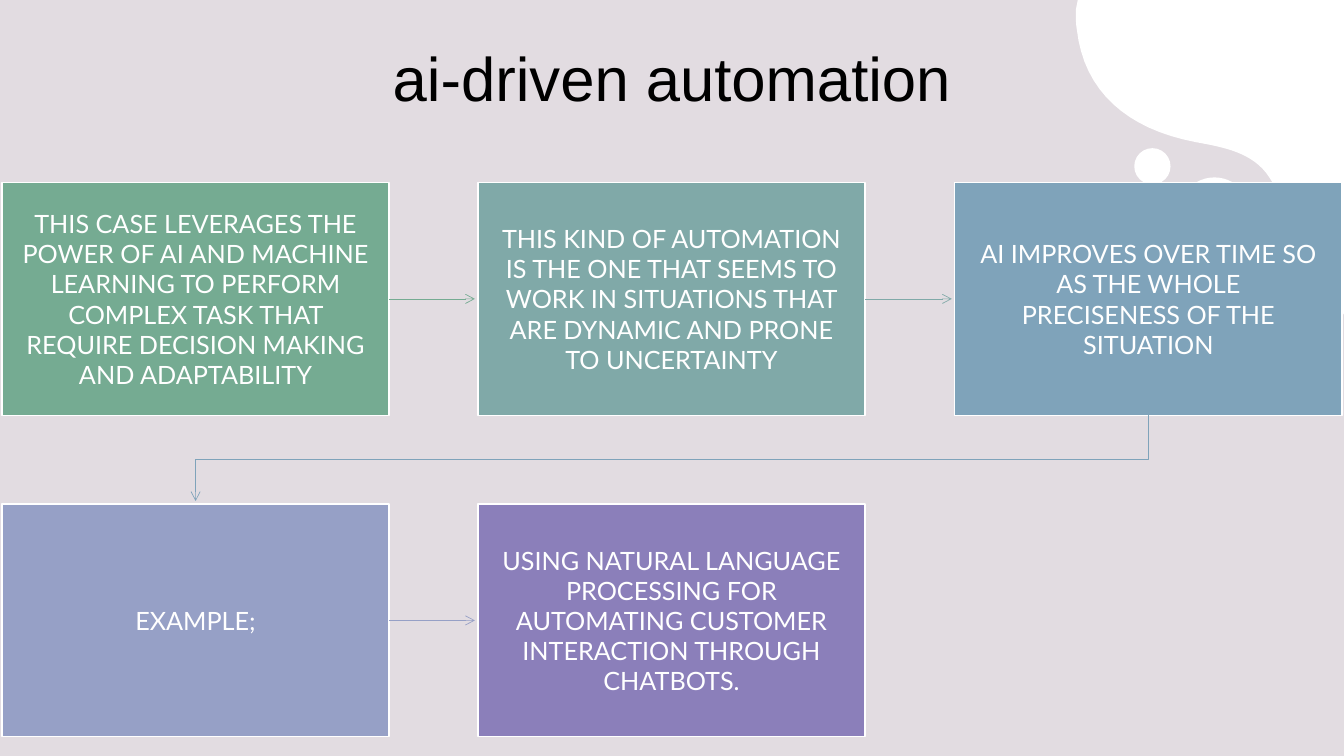
from lxml.etree import SubElement
from pptx import Presentation
from pptx.dml.color import RGBColor
from pptx.enum.shapes import MSO_CONNECTOR, MSO_SHAPE
from pptx.enum.text import MSO_ANCHOR, PP_ALIGN
from pptx.oxml.ns import qn
from pptx.util import Pt

PX = 9144  # EMU per px, 100 px to the inch
WIDTH, HEIGHT = 1333, 750
BOX_WIDTH, BOX_HEIGHT = 384, 231
ARROW_GAP = 3
rgb = RGBColor.from_string


def paint(shape, fill=None, line=None, width=1):
    """Set fill and outline, either of which may be absent, and drop the shadow."""
    shape.shadow.inherit = False
    for target, color in ((shape.fill, fill), (shape.line.fill, line)):
        if color:
            target.solid()
            target.fore_color.rgb = rgb(color)
        else:
            target.background()
    if line:
        shape.line.width = Pt(width)


def write(shape, text, anchor, font_format):
    frame = shape.text_frame
    frame.word_wrap = True
    frame.vertical_anchor = anchor
    paragraph = frame.paragraphs[0]
    paragraph.alignment = PP_ALIGN.CENTER
    run = paragraph.add_run()
    run.text = text
    for name, value in font_format.items():
        setattr(run.font, name, value)
    run.font.color.rgb = rgb("FFFFFF" if anchor == MSO_ANCHOR.MIDDLE else "000000")


presentation = Presentation()
presentation.slide_width, presentation.slide_height = WIDTH * PX, HEIGHT * PX
slide = presentation.slides.add_slide(presentation.slide_layouts[6])
shapes = slide.shapes

# Background with a faint grey veil
slide.background.fill.solid()
slide.background.fill.fore_color.rgb = rgb("E8E2E7")
veil = shapes.add_shape(MSO_SHAPE.RECTANGLE, 0, 0, WIDTH * PX, HEIGHT * PX)
paint(veil, "AEAEAE")
veil_color = veil._element.spPr.find(qn("a:solidFill"))[0]
SubElement(veil_color, qn("a:alpha"), val="10000")

# White blob in the corner: Bézier segments, each starting where the last one ended
blob_curves = [
    [(1067, 16), (1067, 23), (1068, 29)],
    [(1075, 91), (1118, 128), (1186, 141)],
    [(1213, 146), (1243, 151), (1259, 176)],
    [(1276, 203), (1290, 232), (1302, 262)],
    [(1308, 276), (1314, 289), (1323, 300)],
]
STEPS = 16
blob_points = [(1069, 0), (1067, 10)]
for curve in blob_curves:
    controls = [blob_points[-1], *curve]
    for step in range(1, STEPS + 1):
        t = step / STEPS
        weights = ((1 - t) ** 3, 3 * t * (1 - t) ** 2, 3 * t * t * (1 - t), t ** 3)
        blob_points.append(tuple(
            sum(weight * point[axis] for weight, point in zip(weights, controls))
            for axis in (0, 1)))
blob_points.append((1333, 312))
builder = shapes.build_freeform(WIDTH * PX, 0)
builder.add_line_segments([(round(x * PX), round(y * PX)) for x, y in blob_points])
paint(builder.convert_to_shape(), "FFFFFF")

for left, top, size in ((1169, 176, 71), (1125, 147, 36)):
    paint(shapes.add_shape(MSO_SHAPE.OVAL, left * PX, top * PX, size * PX, size * PX), "FFFFFF")

title = shapes.add_textbox(0, -36 * PX, WIDTH * PX, 154 * PX)
write(title, "ai-driven automation", MSO_ANCHOR.BOTTOM, {"name": "Arial", "size": Pt(44)})

# Steps run left to right, three to a row
steps = [
    ("75AB92", "THIS CASE LEVERAGES THE POWER OF AI AND MACHINE LEARNING TO PERFORM "
               "COMPLEX TASK THAT REQUIRE DECISION MAKING AND ADAPTABILITY"),
    ("80A9A8", "THIS KIND OF AUTOMATION IS THE ONE THAT SEEMS TO WORK IN SITUATIONS "
               "THAT ARE DYNAMIC AND PRONE TO UNCERTAINTY"),
    ("7FA3BA", "AI IMPROVES OVER TIME SO AS THE WHOLE PRECISENESS OF THE SITUATION"),
    ("96A0C6", "EXAMPLE;"),
    ("8B7FBA", "USING NATURAL LANGUAGE PROCESSING FOR AUTOMATING CUSTOMER "
               "INTERACTION THROUGH CHATBOTS."),
]
margins = {"margin_left": 19, "margin_right": 19, "margin_top": 20, "margin_bottom": 20}
boxes = []
for index, (color, text) in enumerate(steps):
    row, column = divmod(index, 3)
    box = shapes.add_shape(MSO_SHAPE.RECTANGLE, (2 + 945 * column // 2) * PX,
                           (181 + 319 * row) * PX, BOX_WIDTH * PX, BOX_HEIGHT * PX)
    paint(box, color, "FFFFFF")
    for name, value in margins.items():
        setattr(box.text_frame, name, value * PX)
    write(box, text, MSO_ANCHOR.MIDDLE, {"name": "Lato", "size": Pt(18)})
    boxes.append(box)

# Arrows take the colour of the step they leave
for (color, _), box, following in zip(steps, boxes, boxes[1:]):
    if box.top == following.top:
        middle = box.top + box.height // 2
        arrow = shapes.add_connector(MSO_CONNECTOR.STRAIGHT, box.left + box.width, middle,
                                     following.left - ARROW_GAP * PX, middle)
        arrow.begin_connect(box, 3)
        arrow.line.color.rgb = rgb(color)
        arrow.line.width = Pt(0.5)
        SubElement(arrow._element.spPr, qn("a:effectLst"))
    else:
        start_x, end_x = (each.left + each.width // 2 for each in (box, following))
        bottom = box.top + box.height
        turn = (bottom + following.top) // 2
        builder = shapes.build_freeform(start_x, bottom)
        builder.add_line_segments([(start_x, turn), (end_x, turn),
                                   (end_x, following.top - ARROW_GAP * PX)], close=False)
        arrow = builder.convert_to_shape()
        paint(arrow, line=color, width=0.5)
    SubElement(arrow._element.spPr.find(qn("a:ln")), qn("a:tailEnd"), type="arrow")

presentation.save("out.pptx")
